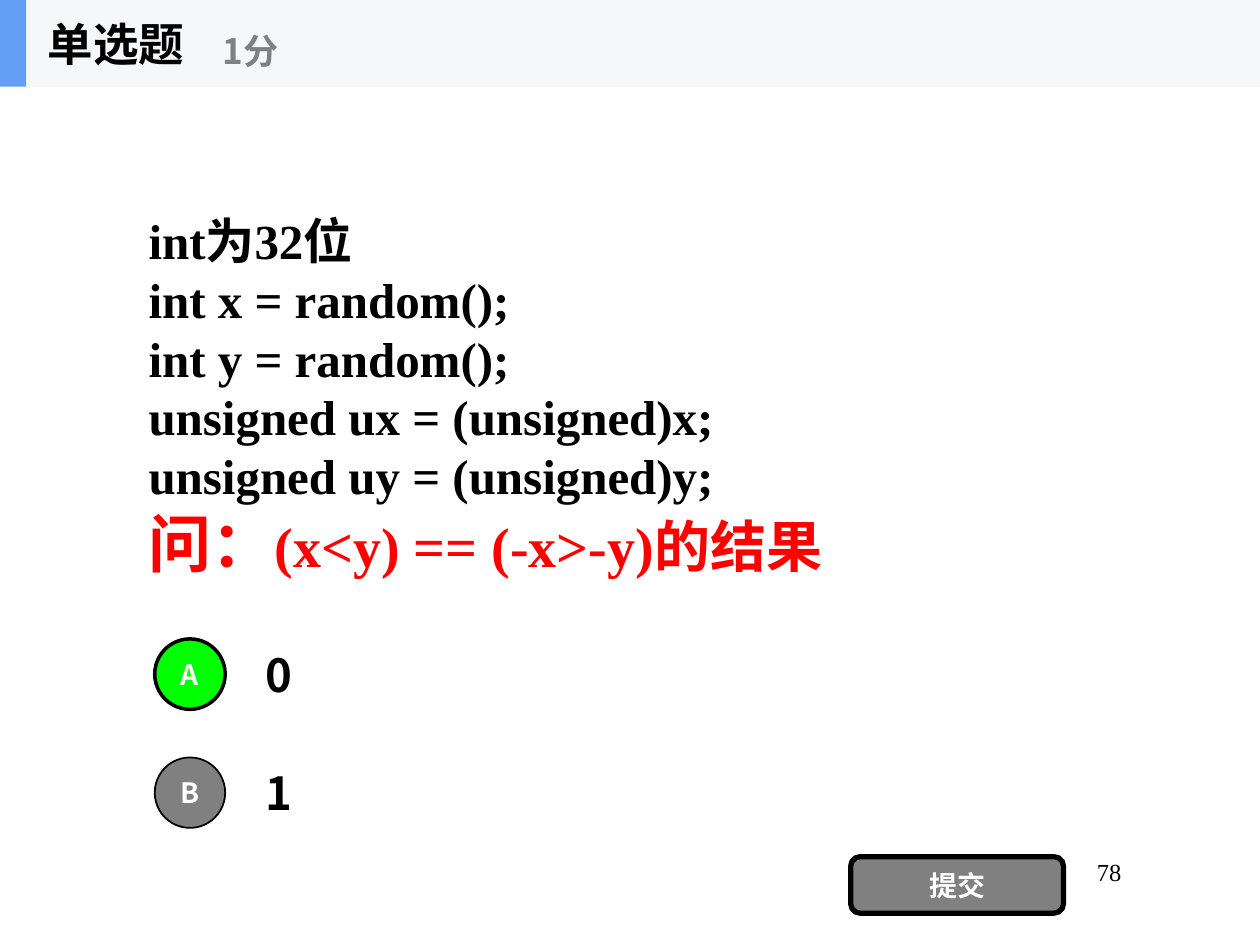
from pptx import Presentation
from pptx.dml.color import RGBColor
from pptx.enum.shapes import MSO_SHAPE
from pptx.enum.text import MSO_ANCHOR, MSO_AUTO_SIZE, PP_ALIGN
from pptx.oxml.ns import qn
from pptx.util import Cm, Pt

COLOURS = {
    "black": "000000",
    "white": "FFFFFF",
    "grey": "808080",
    "red": "FF0000",
    "green": "00FF00",
    "blue": "639EF4",
    "band": "F6F7F8",
}
SANS = "Noto Sans CJK SC"
SERIF = "Times New Roman"

TITLE = "单选题"
SCORE = "1分"
DECLARATIONS = [
    "int为32位",
    "int x = random();",
    "int y = random();",
    "unsigned ux = (unsigned)x;",
    "unsigned uy = (unsigned)y;",
]
QUESTION = [("问：", 36), ("(x<y) == (-x>-y)的结果", 32)]
OPTIONS = [("A", "0", "green", 2), ("B", "1", "grey", 1)]
SUBMIT = "提交"
PAGE_NUMBER = "78"

HEADER_HEIGHT = 1.75
OPTION_TOP, OPTION_STEP, OPTION_HEIGHT = 12.7, 2.39, 1.78
CIRCLE_SIZE = 1.42


def colour(name):
    return RGBColor.from_string(COLOURS[name])


def place(shape, left, top, width, height):
    shape.left, shape.top = Cm(left), Cm(top)
    shape.width, shape.height = Cm(width), Cm(height)


def set_font(font, size, name, tint="black", bold=True):
    font.size, font.name, font.bold = Pt(size), name, bold
    font.color.rgb = colour(tint)


def prepare(shape, anchor=MSO_ANCHOR.MIDDLE, wrap=True):
    frame = shape.text_frame
    frame.auto_size = MSO_AUTO_SIZE.NONE
    frame.word_wrap = wrap
    frame.vertical_anchor = anchor
    return frame


def write(shape, text, size, name=SANS, tint="black", bold=True,
          align=PP_ALIGN.LEFT, anchor=MSO_ANCHOR.MIDDLE, wrap=True):
    para = prepare(shape, anchor, wrap).paragraphs[0]
    para.text = text
    para.alignment = align
    set_font(para.font, size, name, tint, bold)


def add_label(page, area, text, size, **style):
    box = page.shapes.add_textbox(*map(Cm, area))
    write(box, text, size, **style)


def add_filled(page, kind, area, fill, line_width=0):
    shape = page.shapes.add_shape(kind, *map(Cm, area))
    shape.shadow.inherit = False
    shape.fill.solid()
    shape.fill.fore_color.rgb = colour(fill)
    if line_width:
        shape.line.color.rgb = colour("black")
        shape.line.width = Pt(line_width)
    else:
        shape.line.fill.background()
    return shape


def add_button(page, kind, area, text, fill, line_width):
    button = add_filled(page, kind, area, fill, line_width)
    write(button, text, 16, tint="white", align=PP_ALIGN.CENTER, wrap=False)


def add_header(page):
    for position, (width, fill) in enumerate([(25.4, "band"), (0.53, "blue")]):
        bar = add_filled(page, MSO_SHAPE.RECTANGLE, (0, 0, width, HEADER_HEIGHT), fill)
        page.shapes._spTree.insert(2 + position, bar._element)
    title = page.shapes.title
    place(title, 0.71, 0, 5.28, HEADER_HEIGHT)
    write(title, TITLE, 26)
    add_label(page, (4.24, 0.3, 6.35, 1.42), SCORE, 20, tint="grey")


def add_question(page):
    body = page.placeholders[1]
    place(body, 2.74, 5, 20.32, 5.94)
    frame = prepare(body)
    lines = [([(text, 28)], "black") for text in DECLARATIONS] + [(QUESTION, "red")]
    for number, (pieces, tint) in enumerate(lines):
        para = frame.add_paragraph() if number else frame.paragraphs[0]
        para.space_before = Pt(0)
        properties = para._p.get_or_add_pPr()
        properties.set("marL", "0")
        properties.set("indent", "0")
        properties.append(properties.makeelement(qn("a:buNone"), {}))
        set_font(para.font, pieces[0][1], SERIF, tint)
        for text, size in pieces:
            span = para.add_run()
            span.text = text
            if size != pieces[0][1]:
                span.font.size = Pt(size)


def add_options(page):
    inset = (OPTION_HEIGHT - CIRCLE_SIZE) / 2
    for number, (letter, answer, fill, line_width) in enumerate(OPTIONS):
        top = OPTION_TOP + number * OPTION_STEP
        add_label(page, (5.11, top, 17.78, OPTION_HEIGHT), answer, 26)
        circle = (3.12, top + inset, CIRCLE_SIZE, CIRCLE_SIZE)
        add_button(page, MSO_SHAPE.OVAL, circle, letter, fill, line_width)


def main():
    deck = Presentation()
    deck.slide_width, deck.slide_height = Cm(25.4), Cm(19.05)
    page = deck.slides.add_slide(deck.slide_layouts[1])
    add_header(page)
    add_question(page)
    add_options(page)
    add_button(page, MSO_SHAPE.ROUNDED_RECTANGLE, (17.15, 17.27, 4.29, 1.14),
               SUBMIT, "grey", 3)
    add_label(page, (19.25, 17.15, 3.61, 1.27), PAGE_NUMBER, 14, name=SERIF,
              bold=False, align=PP_ALIGN.RIGHT, anchor=MSO_ANCHOR.TOP)
    deck.save("out.pptx")


if __name__ == "__main__":
    main()
